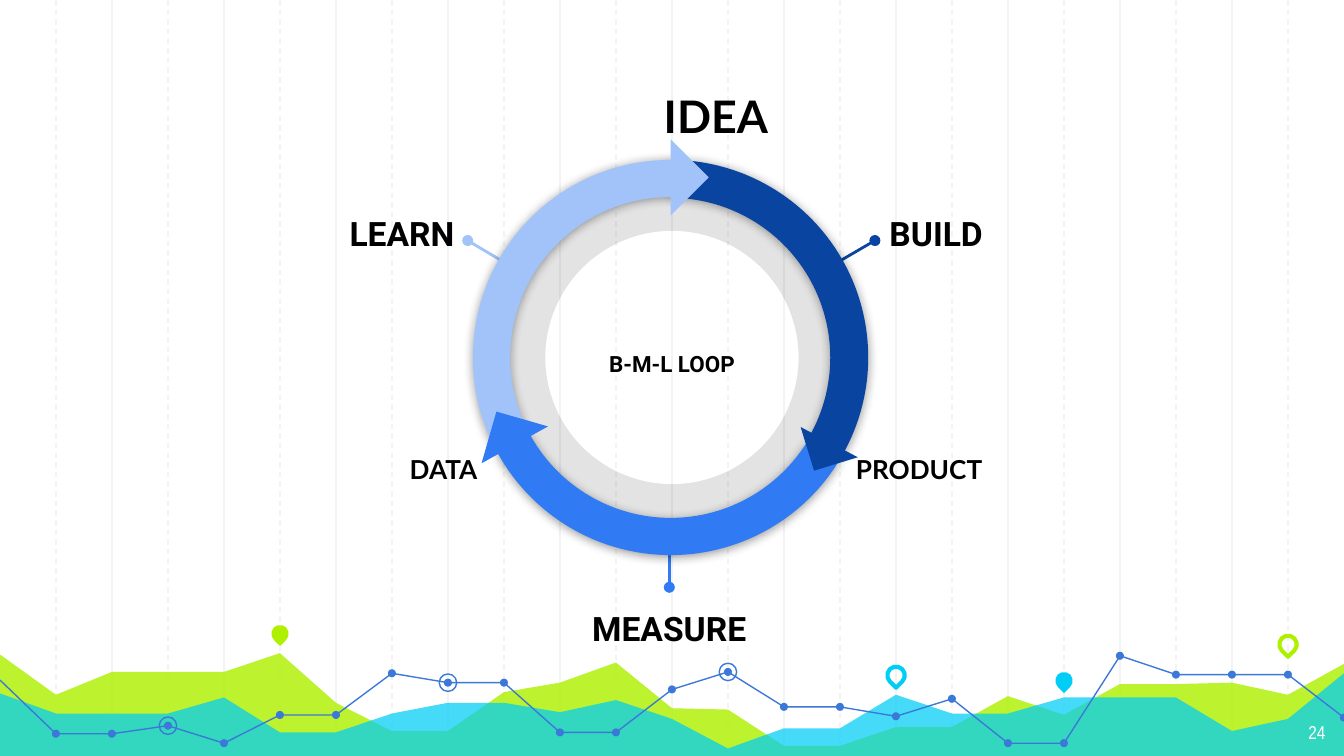
from lxml.etree import SubElement
from pptx import Presentation
from pptx.dml.color import RGBColor
from pptx.enum.dml import MSO_LINE
from pptx.enum.shapes import MSO_CONNECTOR, MSO_SHAPE
from pptx.enum.text import MSO_ANCHOR, PP_ALIGN
from pptx.oxml.ns import qn
from pptx.util import Inches, Pt

BLACK = RGBColor(0, 0, 0)
WHITE = RGBColor(255, 255, 255)
GRID = RGBColor(0xF3, 0xF3, 0xF3)
LIME = RGBColor(0xAF, 0xF0, 0x00)
CYAN = RGBColor(0x00, 0xCE, 0xF6)
TREND_BLUE = RGBColor(0x3C, 0x78, 0xD8)
NAVY = RGBColor(0x09, 0x44, 0xA1)
BLUE = RGBColor(0x30, 0x7B, 0xF3)
SKY = RGBColor(0xA1, 0xC3, 0xFA)

WIDTH = 10
HEIGHT = WIDTH * 9 / 16
COLUMNS = 24
STEP = WIDTH / COLUMNS
AREA_BASE = 5.64

# One height per grid column, from the left edge to the right edge
LIME_AREA = [4.87, 5.17, 5, 5, 5, 4.86, 5.23, 5.44, 5.44, 5.15, 5.08, 4.93, 5.27,
             5.28, 5.55, 5.55, 5.41, 5.41, 5.18, 5.32, 5.09, 5.09, 5.08, 5.17, 4.94]
CYAN_AREA = [5.16, 5.31, 5.31, 5.31, 5.19, 5.45, 5.45, 5.31, 5.23, 5.23, 5.3, 5.21, 5.35,
             5.57, 5.42, 5.42, 5.17, 5.31, 5.31, 5.19, 5.19, 5.19, 5.44, 5.35, 5.01]
TREND = [5.06, 5.46, 5.46, 5.4, 5.53, 5.32, 5.32, 5.01, 5.08, 5.08, 5.45, 5.45, 5.13,
         5, 5.26, 5.26, 5.33, 5.2, 5.53, 5.53, 4.88, 5.02, 5.02, 5.02, 5.34]
TREND_PARTS = [(0, 11), (11, 20), (20, 24)]
RINGED_COLUMNS = [3, 8, 13]
# column, top, colour, hollow
PINS = [(5, 4.65, LIME, False), (16, 4.96, CYAN, True),
        (19, 5, CYAN, False), (23, 4.73, LIME, True)]

# start (dot), end, colour
CALLOUTS = [((3.48, 1.79), (3.95, 2.07), SKY),
            ((6.51, 1.79), (6.03, 2.07), NAVY),
            ((4.98, 4.37), (4.98, 3.87), BLUE)]
# rotation, mirrored, start angle, end angle, thickness, colour
NAVY_ARC = (30, False, 240.24, 0.01, 0.096, NAVY)
SKY_ARC = (330, True, 239.14, 357.88, 0.094, SKY)
BLUE_ARC = (210, True, 238.6, 358.38, 0.094, BLUE)
# left, top, size, rotation, colour
SKY_HEAD = (4.79, 1.12, 0.4, 225, SKY)
NAVY_HEAD = (6, 3.12, 0.34, 342.9, NAVY)
BLUE_HEAD = (3.63, 3.11, 0.4, 106, BLUE)

LEFT, CENTER, RIGHT = PP_ALIGN.LEFT, PP_ALIGN.CENTER, PP_ALIGN.RIGHT
# text, box, font, size, alignment, line spacing, indent
STAGES = [("LEARN", (1.84, 1.44, 1.64, 0.73), "Roboto", 18, RIGHT, 1.15, 0),
          ("BUILD", (6.52, 1.44, 1.64, 0.73), "Roboto", 18, LEFT, 1.15, 0),
          ("MEASURE", (4.16, 4.38, 1.64, 0.73), "Roboto", 18, CENTER, 1.15, 0)]
LOOP_NAME = ("B-M-L LOOP", (4.21, 2.25, 1.58, 0.88), "Roboto", 12, CENTER, 1.15, 0)
RESULTS = [("PRODUCT", (6.27, 3.27, 1.58, 0.49), "Lato", 14, LEFT, 1, 0),
           ("DATA", (2.95, 3.27, 1.18, 0.43), "Lato", 14, LEFT, 1, 0),
           ("IDEA", (3.97, 0.56, 1.99, 0.49), "Lato", 24, LEFT, 1, 0.87)]
SLIDE_NUMBER = ("24", (9.36, 5.28, 0.6, 0.35), "Arial Narrow", 10, RIGHT, 1, 0)

presentation = Presentation()
presentation.slide_width, presentation.slide_height = Inches(WIDTH), Inches(HEIGHT)
slide = presentation.slides.add_slide(presentation.slide_layouts[6])
shapes = slide.shapes


def paint(shape, fill=None, line=None, line_width=0.75, alpha=None):
    shape.shadow.inherit = False
    if fill is None:
        shape.fill.background()
    else:
        shape.fill.solid()
        shape.fill.fore_color.rgb = fill
        if alpha is not None:
            color = shape.element.spPr.find(qn("a:solidFill"))[0]
            SubElement(color, qn("a:alpha"), val=str(alpha * 1000))
    if line is None:
        shape.line.fill.background()
    else:
        shape.line.color.rgb = line
        shape.line.width = Pt(line_width)


def add_preset(kind, left, top, size, rotation=0, **style):
    shape = shapes.add_shape(kind, Inches(left), Inches(top), Inches(size), Inches(size))
    shape.rotation = rotation
    paint(shape, **style)
    return shape


def add_line(start, end, color, width):
    line = shapes.add_connector(MSO_CONNECTOR.STRAIGHT, *map(Inches, start + end))
    line.line.color.rgb = color
    line.line.width = Pt(width)
    SubElement(line.element.spPr, qn("a:effectLst"))
    return line


def add_outline(points, closed, **style):
    points = [(Inches(x), Inches(y)) for x, y in points]
    builder = shapes.build_freeform(*points[0])
    builder.add_line_segments(points[1:], close=closed)
    paint(builder.convert_to_shape(), **style)


def add_circle(x, y, radius, **style):
    add_preset(MSO_SHAPE.OVAL, x - radius, y - radius, 2 * radius, **style)


def add_label(text, box, font, size, alignment, spacing, indent,
              color=BLACK, bold=True, anchor=MSO_ANCHOR.TOP):
    frame = shapes.add_textbox(*map(Inches, box)).text_frame
    frame.word_wrap = True
    frame.vertical_anchor = anchor
    frame.margin_left = frame.margin_right = Inches(0.1)
    frame.margin_top = frame.margin_bottom = Inches(0.1)
    paragraph = frame.paragraphs[0]
    paragraph.alignment = alignment
    paragraph.line_spacing = spacing
    if indent:
        properties = paragraph._p.get_or_add_pPr()
        properties.set("marL", str(Inches(indent)))
        properties.set("indent", "0")
    run = paragraph.add_run()
    run.text = text
    run.font.name, run.font.size, run.font.bold = font, Pt(size), bold
    run.font.color.rgb = color


def add_arc(rotation, mirrored, start_angle, end_angle, thickness, color):
    arc = add_preset(MSO_SHAPE.BLOCK_ARC, 3.52, 1.19, 2.94, rotation, fill=color)
    # Angles are stored in 60000ths of a degree, adjustments in 100000ths
    for index, value in enumerate((start_angle * 0.6, end_angle * 0.6, thickness)):
        arc.adjustments[index] = value
    properties = arc.element.spPr
    if mirrored:
        properties.find(qn("a:xfrm")).set("flipH", "1")
    shadow = SubElement(properties.find(qn("a:effectLst")), qn("a:outerShdw"),
                        blurRad=str(Pt(5.6)), dist=str(Pt(0.8)),
                        dir="5400000", algn="ctr", rotWithShape="0")
    SubElement(SubElement(shadow, qn("a:srgbClr"), val="000000"),
               qn("a:alpha"), val="40000")


def add_head(left, top, size, rotation, color):
    add_preset(MSO_SHAPE.RIGHT_TRIANGLE, left, top, size, rotation, fill=color)


# Background grid: solid lines on even columns, dashed on odd ones
for first, dash in ((2, None), (1, MSO_LINE.DASH)):
    for column in range(first, COLUMNS, 2):
        grid_line = add_line((column * STEP, 0), (column * STEP, HEIGHT), GRID, 0.75)
        grid_line.line.dash_style = dash

# Decorative areas, pins and trend line
for heights, color, alpha in ((LIME_AREA, LIME, 82), (CYAN_AREA, CYAN, 73)):
    surface = [(column * STEP, y) for column, y in enumerate(heights)]
    add_outline(surface + [(WIDTH, AREA_BASE), (0, AREA_BASE)], True, fill=color, alpha=alpha)

for column, top, color, hollow in PINS:
    style = dict(line=color, line_width=2.25) if hollow else dict(fill=color)
    add_preset(MSO_SHAPE.TEAR, column * STEP - 0.065, top, 0.13, 135, **style)

trend_points = [(column * STEP, y) for column, y in enumerate(TREND)]
for first, last in TREND_PARTS:
    add_outline(trend_points[first:last + 1], False, line=TREND_BLUE)
for x, y in trend_points[1:]:
    add_circle(x, y, 0.03, fill=TREND_BLUE)
for column in RINGED_COLUMNS:
    add_circle(*trend_points[column], 0.065, line=TREND_BLUE)
add_label(*SLIDE_NUMBER, color=WHITE, bold=False)

# Build-measure-learn loop
track = add_preset(MSO_SHAPE.DONUT, 3.61, 1.27, 2.78, fill=BLACK, alpha=11)
track.adjustments[0] = 0.161
for (start, end, color), stage in zip(CALLOUTS, STAGES):
    callout = add_line(start, end, color, 1.5)
    SubElement(callout.line._get_or_add_ln(), qn("a:headEnd"), type="oval")
    add_label(*stage)
add_label(*LOOP_NAME, anchor=MSO_ANCHOR.MIDDLE)

add_arc(*NAVY_ARC)
add_arc(*SKY_ARC)
add_head(*SKY_HEAD)
add_arc(*BLUE_ARC)
add_head(*NAVY_HEAD)
add_head(*BLUE_HEAD)
for result in RESULTS:
    add_label(*result)

presentation.save("out.pptx")
